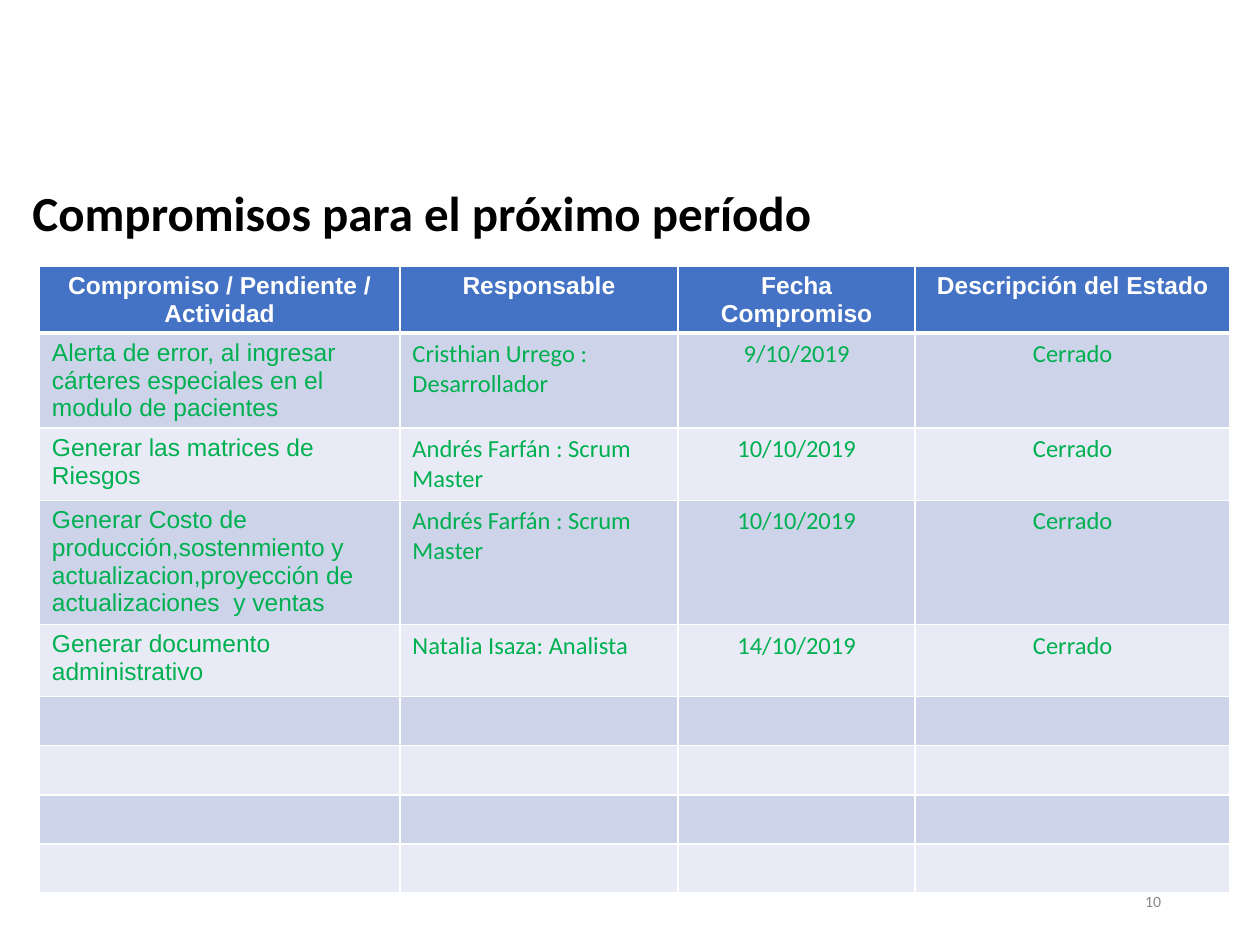
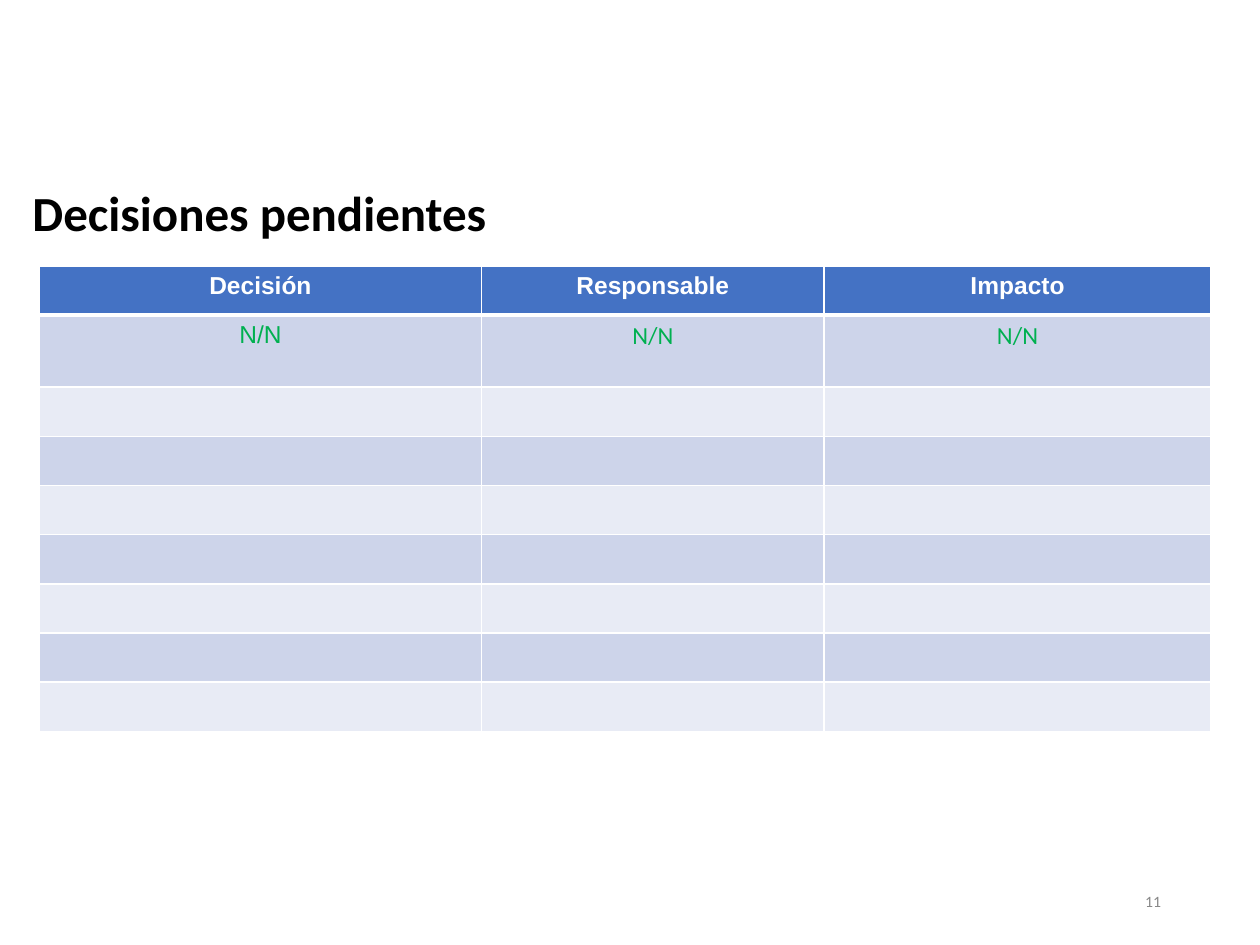
from lxml.etree import SubElement
from pptx import Presentation
from pptx.dml.color import RGBColor
from pptx.enum.text import MSO_ANCHOR, PP_ALIGN
from pptx.oxml.ns import qn
from pptx.util import Pt

BLACK = RGBColor(0x00, 0x00, 0x00)
WHITE = RGBColor(0xFF, 0xFF, 0xFF)
GRAY = RGBColor(0x88, 0x88, 0x88)
GREEN = RGBColor(0x00, 0xB0, 0x50)
HEADER_BLUE = RGBColor(0x44, 0x72, 0xC4)
BANDS = (RGBColor(0xCD, 0xD4, 0xEA), RGBColor(0xE8, 0xEB, 0xF5))

HEADING_FONT, BODY_FONT = "Arial", "Calibri"
LEFT, CENTER, RIGHT = PP_ALIGN.LEFT, PP_ALIGN.CENTER, PP_ALIGN.RIGHT

# Boxes as left, top, width, height in points
TITLE_BOX = (11.5, 107, 612, 28)
NUMBER_BOX = (508.5, 500.5, 162, 28.75)
TABLE_LEFT, TABLE_TOP = 22.5, 152
EMPTY_ROW = 28.1


def style_paragraph(paragraph, text, size, font_name, color, bold=False, align=LEFT):
    paragraph.text = text
    paragraph.alignment = align
    font = paragraph.font
    font.size, font.name, font.bold = Pt(size), font_name, bold
    font.color.rgb = color


def add_text(slide, box, text, size, color, bold=False, align=LEFT):
    shape = slide.shapes.add_textbox(*(Pt(length) for length in box))
    frame = shape.text_frame
    frame.word_wrap = True
    frame.vertical_anchor = MSO_ANCHOR.MIDDLE
    style_paragraph(frame.paragraphs[0], text, size, BODY_FONT, color, bold, align)


def set_borders(cell, bottom_width):
    properties = cell._tc.get_or_add_tcPr()
    for side, width in (("L", 1), ("R", 1), ("T", 1), ("B", bottom_width)):
        line = SubElement(properties, qn(f"a:ln{side}"), w=str(Pt(width)))
        fill = SubElement(line, qn("a:solidFill"))
        SubElement(fill, qn("a:srgbClr"), val=str(WHITE))


def add_banded_table(slide, left, top, widths, heights, rows, alignments):
    """Header row, then banded rows; rows beyond the given texts stay empty."""
    frame = slide.shapes.add_table(
        len(heights), len(widths), Pt(left), Pt(top), Pt(sum(widths)), Pt(sum(heights)))
    table = frame.table
    for column, width in zip(table.columns, widths):
        column.width = Pt(width)
    for row_index, height in enumerate(heights):
        table.rows[row_index].height = Pt(height)
        is_header = row_index == 0
        for column_index in range(len(widths)):
            cell = table.cell(row_index, column_index)
            set_borders(cell, 3 if is_header else 1)
            cell.fill.solid()
            cell.fill.fore_color.rgb = HEADER_BLUE if is_header else BANDS[(row_index - 1) % 2]
            cell.margin_bottom = Pt(0)  # keeps full rows at their set height
            style_paragraph(
                cell.text_frame.paragraphs[0],
                rows[row_index][column_index] if row_index < len(rows) else "", 14,
                HEADING_FONT if is_header or column_index == 0 else BODY_FONT,
                WHITE if is_header else GREEN, is_header,
                CENTER if is_header else alignments[column_index])


def add_table_slide(presentation, title, number, widths, heights, rows, alignments):
    slide = presentation.slides.add_slide(presentation.slide_layouts[6])
    add_text(slide, TITLE_BOX, title, 28, BLACK, bold=True)
    add_banded_table(slide, TABLE_LEFT, TABLE_TOP, widths, heights, rows, alignments)
    # The number comes last, so that it stays in front of the table
    add_text(slide, NUMBER_BOX, number, 9, GRAY, align=RIGHT)


presentation = Presentation()
presentation.slide_width, presentation.slide_height = Pt(720), Pt(540)

# Commitments for the next period
add_table_slide(
    presentation, "Compromisos para el próximo período", "10",
    widths=[206, 159, 135.5, 180],
    heights=[38.4, 54.3, 41.3, 70.3, 41.2] + [EMPTY_ROW] * 4,
    rows=[
        ("Compromiso / Pendiente / Actividad", "Responsable", "Fecha Compromiso",
         "Descripción del Estado"),
        ("Alerta de error, al ingresar cárteres especiales en el modulo de pacientes",
         "Cristhian Urrego : Desarrollador", "9/10/2019", "Cerrado"),
        ("Generar las matrices de Riesgos",
         "Andrés Farfán : Scrum Master", "10/10/2019", "Cerrado"),
        ("Generar Costo de producción,sostenmiento y actualizacion,proyección de "
         "actualizaciones  y ventas",
         "Andrés Farfán : Scrum Master", "10/10/2019", "Cerrado"),
        ("Generar documento administrativo",
         "Natalia Isaza: Analista", "14/10/2019", "Cerrado"),
    ],
    alignments=[LEFT, LEFT, CENTER, CENTER])

# Pending decisions
add_table_slide(
    presentation, "Decisiones pendientes", "11",
    widths=[252.7, 195.8, 221],
    heights=[EMPTY_ROW, 41.2] + [EMPTY_ROW] * 7,
    rows=[("Decisión", "Responsable", "Impacto"), ("N/N", "N/N", "N/N")],
    alignments=[CENTER] * 3)

presentation.save("out.pptx")
